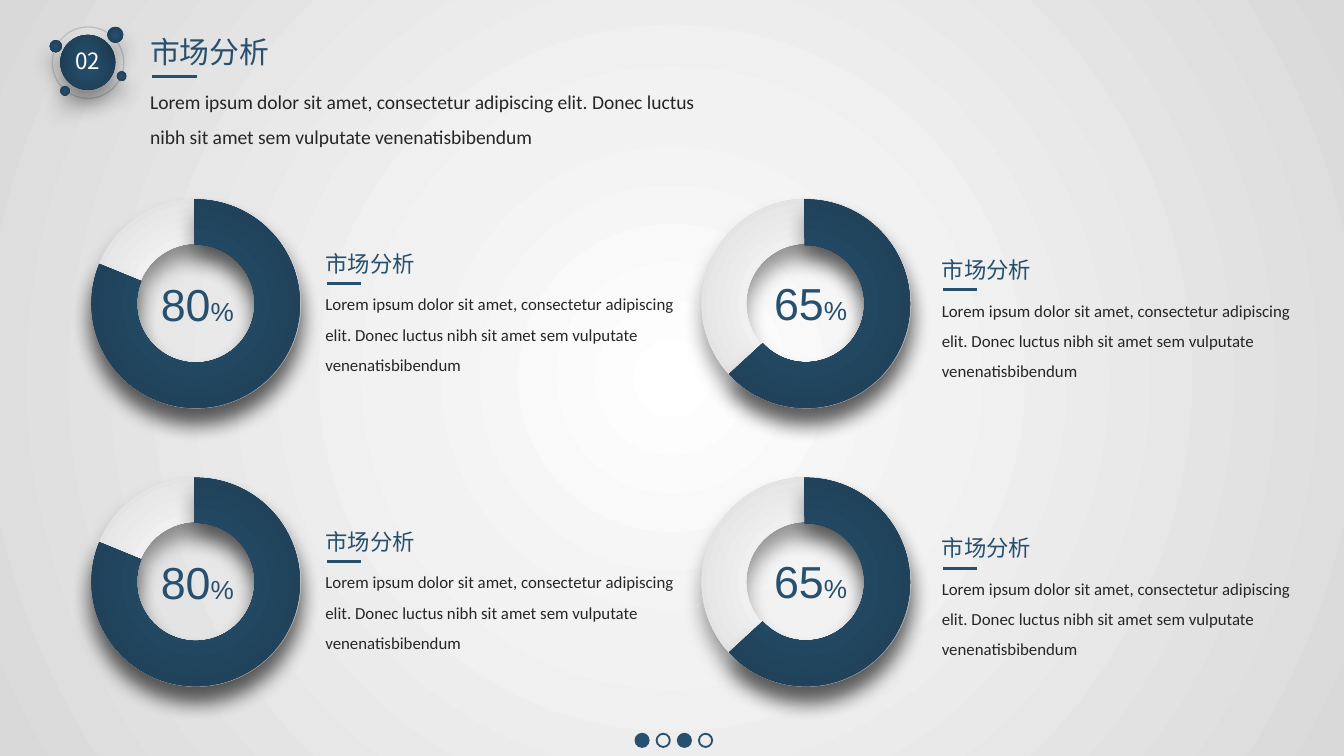
from dataclasses import dataclass

import pptx
import pptx.dml.color
import pptx.enum.shapes
import pptx.enum.text
import pptx.oxml.ns
import pptx.util
from lxml import etree
from pptx.util import Cm

SHAPES = pptx.enum.shapes.MSO_SHAPE
NAVY, INK, WHITE = "27506E", "262626", "FFFFFF"
SILVER_STOPS = ((0, "FFFFFF"), (35, "F2F2F2"), (100, "D9D9D9"))
NAVY_STOPS = ((0, NAVY), (100, "1D3C52"))
CJK, LATIN, NUMERAL = "Noto Sans CJK SC", "Calibri", "Arial"
HEADING = "市场分析"
LOREM = ("Lorem ipsum dolor sit amet, consectetur adipiscing elit. "
         "Donec luctus nibh sit amet sem vulputate venenatisbibendum")
ROW_PITCH = 5.26


@dataclass(frozen=True)
class Box:
    left: float
    top: float
    width: float
    height: float

    def lengths(self):
        return Cm(self.left), Cm(self.top), Cm(self.width), Cm(self.height)


@dataclass(frozen=True)
class Gauge:
    percent: str
    ring_left: float
    number_left: float
    number_top: float
    text_left: float
    heading_top: float
    arc_end: float
    arc_thickness: float


GAUGES = (
    Gauge("80", 1.73, 2.79, 5.11, 5.9, 4.6, 121.45, 0.217),
    Gauge("65", 13.26, 14.38, 5.08, 17.55, 4.72, 82.47, 0.219),
)
BADGE_DISCS = (
    (1.14, 0.66, 1.04),
    (2.03, 0.51, 0.3),
    (0.94, 0.76, 0.23),
    (1.14, 1.63, 0.18),
    (2.21, 1.35, 0.18),
)


def qn(tag: str) -> str:
    return pptx.oxml.ns.qn(tag)


def color(value: str):
    return pptx.dml.color.RGBColor.from_string(value)


def add_color(parent, value: str):
    return etree.SubElement(parent, qn("a:srgbClr"), val=value)


def fill_radial(fill, element, stops) -> None:
    fill.gradient()
    gradient = element.find(".//" + qn("a:gradFill"))
    for child in list(gradient):
        gradient.remove(child)
    stop_list = etree.SubElement(gradient, qn("a:gsLst"))
    for position, value in stops:
        add_color(etree.SubElement(stop_list, qn("a:gs"), pos=str(position * 1000)), value)
    circle = etree.SubElement(gradient, qn("a:path"), path="circle")
    etree.SubElement(circle, qn("a:fillToRect"), l="50000", t="50000", r="50000", b="50000")


def add_outline(slide, box: Box, line: str, weight: float, fill: str = ""):
    circle = slide.shapes.add_shape(SHAPES.OVAL, *box.lengths())
    circle.shadow.inherit = False
    circle.line.color.rgb = color(line)
    circle.line.width = pptx.util.Pt(weight)
    if fill:
        circle.fill.solid()
        circle.fill.fore_color.rgb = color(fill)
    else:
        circle.fill.background()


def add_raised(slide, kind, box: Box, stops, adjustments=()) -> None:
    raised = slide.shapes.add_shape(kind, *box.lengths())
    for index, value in enumerate(adjustments):
        raised.adjustments[index] = value
    raised.line.fill.background()
    fill_radial(raised.fill, raised.element, stops)
    raised.shadow.inherit = False
    effects = raised.element.find(".//" + qn("a:effectLst"))
    shadow = etree.SubElement(
        effects, qn("a:outerShdw"), blurRad=str(pptx.util.Pt(11)),
        dist=str(pptx.util.Pt(8)), dir="5400000", algn="t", rotWithShape="0")
    etree.SubElement(add_color(shadow, "000000"), qn("a:alpha"), val="40000")


def add_text(slide, box: Box, runs, font: str, ink: str, wrap: bool = True,
             spacing: float = 1.0) -> None:
    holder = slide.shapes.add_textbox(*box.lengths())
    frame = holder.text_frame
    frame.word_wrap = wrap
    frame.auto_size = pptx.enum.text.MSO_AUTO_SIZE.SHAPE_TO_FIT_TEXT
    paragraph = frame.paragraphs[0]
    paragraph.line_spacing = spacing
    paragraph.font.name = font
    paragraph.font.color.rgb = color(ink)
    for words, size in runs:
        run = paragraph.add_run()
        run.text = words
        if len(runs) > 1:
            run.font.size = pptx.util.Pt(size)
        else:
            paragraph.font.size = pptx.util.Pt(size)
    defaults = holder.element.find(".//" + qn("a:defRPr"))
    etree.SubElement(defaults, qn("a:ea"), typeface=font)


def add_rule(slide, left: float, top: float, length: float) -> None:
    rule = slide.shapes.add_connector(
        pptx.enum.shapes.MSO_CONNECTOR.STRAIGHT,
        Cm(left), Cm(top), Cm(left + length), Cm(top))
    rule.line.color.rgb = color(NAVY)
    rule.line.width = pptx.util.Pt(1.5)
    etree.SubElement(rule.element.spPr, qn("a:effectLst"))


def add_header(slide) -> None:
    add_outline(slide, Box(0.99, 0.51, 1.35, 1.35), "BFBFBF", 0.75)
    for left, top, size in BADGE_DISCS:
        add_raised(slide, SHAPES.OVAL, Box(left, top, size, size), NAVY_STOPS)
    add_text(slide, Box(1.17, 0.76, 1.04, 0.76), [("02", 12)], CJK, WHITE, wrap=False)
    add_text(slide, Box(2.59, 0.51, 2.79, 0.94), [(HEADING, 16)], CJK, NAVY, wrap=False)
    add_text(slide, Box(2.59, 1.35, 11.35, 1.52), [(LOREM, 10.5)], LATIN, INK, spacing=1.5)
    add_rule(slide, 2.87, 1.45, 0.86)


def add_gauge(slide, gauge: Gauge, drop: float) -> None:
    add_text(slide, Box(gauge.number_left, gauge.number_top + drop, 1.9, 1.27),
             [(gauge.percent, 24), ("%", 14)], NUMERAL, NAVY, wrap=False)
    add_raised(slide, SHAPES.DONUT, Box(gauge.ring_left, 3.76 + drop, 3.96, 3.96),
               SILVER_STOPS, (0.213,))
    add_raised(slide, SHAPES.BLOCK_ARC, Box(gauge.ring_left, 3.77 + drop, 3.94, 3.94),
               NAVY_STOPS, (161.45, gauge.arc_end, gauge.arc_thickness))
    left, top = gauge.text_left, gauge.heading_top + drop
    add_text(slide, Box(left, top + 0.64, 7.54, 1.98), [(LOREM, 9)], LATIN, INK, spacing=1.5)
    add_text(slide, Box(left, top, 4.83, 0.76), [(HEADING, 12)], CJK, NAVY)
    add_rule(slide, left + 0.28, top + 0.76, 0.64)


def main() -> None:
    deck = pptx.Presentation()
    deck.slide_width, deck.slide_height = Cm(25.4), Cm(14.29)
    slide = deck.slides.add_slide(deck.slide_layouts[6])
    fill_radial(slide.background.fill, slide.element, SILVER_STOPS)
    add_header(slide)
    for index in range(4):
        add_outline(slide, Box(12.01 + 0.4 * index, 13.87, 0.25, 0.25), NAVY, 1,
                    "" if index % 2 else NAVY)
    for row in range(2):
        for gauge in GAUGES:
            add_gauge(slide, gauge, row * ROW_PITCH)
    deck.save("out.pptx")


if __name__ == "__main__":
    main()
